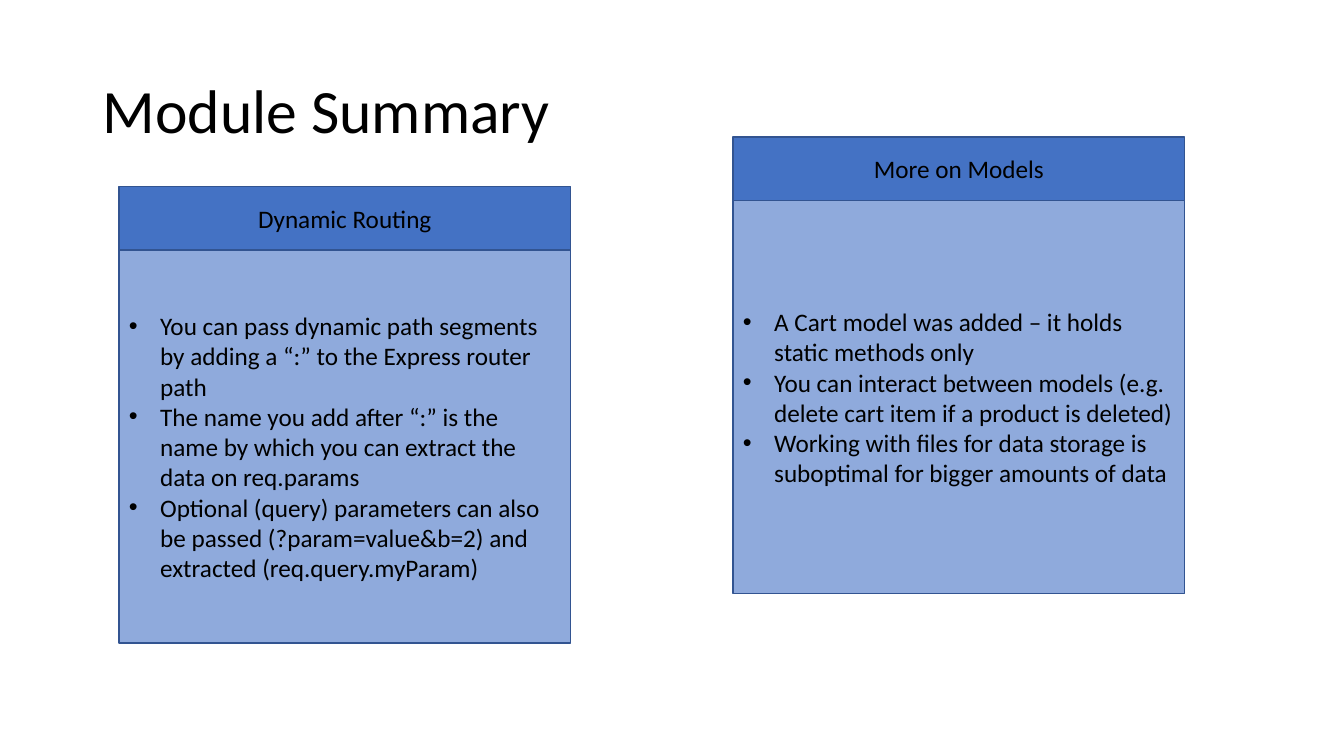
from lxml.etree import SubElement
from pptx import Presentation
from pptx.dml.color import RGBColor
from pptx.enum.shapes import MSO_SHAPE
from pptx.enum.text import MSO_ANCHOR, PP_ALIGN
from pptx.oxml.ns import qn
from pptx.util import Inches, Pt

CARD_WIDTH = 4.48
HEADER_HEIGHT = 0.63
BODY_HEIGHT = 3.9
BULLET_INDENT = 0.31

CARDS = [
    (1.18, 1.85, "Dynamic Routing", [
        "You can pass dynamic path segments by adding a “:” to the Express router path",
        "The name you add after “:” is the name by which you can extract the data on req.params",
        "Optional (query) parameters can also be passed (?param=value&b=2) and extracted (req.query.myParam)",
    ]),
    (7.27, 1.36, "More on Models", [
        "A Cart model was added – it holds static methods only",
        "You can interact between models (e.g. delete cart item if a product is deleted)",
        "Working with files for data storage is suboptimal for bigger amounts of data",
    ]),
]


def color(hex_code):
    return RGBColor.from_string(hex_code)


class SummarySlide:
    """Holds the style and the slide, and draws its title and cards."""

    font_name = "Calibri"
    text_color = "000000"
    header_fill = "4472C4"
    body_fill = "8FAADC"
    border_color = "325491"

    def __init__(self, presentation):
        self.slide = presentation.slides.add_slide(presentation.slide_layouts[5])

    def style(self, paragraph, size, alignment):
        paragraph.alignment = alignment
        paragraph.font.name = self.font_name
        paragraph.font.size = Pt(size)
        paragraph.font.color.rgb = color(self.text_color)

    def title(self, text):
        heading = self.slide.shapes.title
        heading.left, heading.top = Inches(0.92), Inches(0.4)
        heading.width, heading.height = Inches(11.5), Inches(1.45)
        frame = heading.text_frame
        frame.text = text
        frame.word_wrap = True
        frame.vertical_anchor = MSO_ANCHOR.MIDDLE
        frame.paragraphs[0].line_spacing = 0.9
        self.style(frame.paragraphs[0], 44, PP_ALIGN.LEFT)

    def panel(self, left, top, height, fill, lines, bulleted=False):
        panel = self.slide.shapes.add_shape(
            MSO_SHAPE.RECTANGLE, Inches(left), Inches(top), Inches(CARD_WIDTH), Inches(height))
        panel.shadow.inherit = False
        panel.fill.solid()
        panel.fill.fore_color.rgb = color(fill)
        panel.line.color.rgb = color(self.border_color)
        panel.line.width = Pt(1)
        frame = panel.text_frame
        frame.word_wrap = True
        frame.vertical_anchor = MSO_ANCHOR.MIDDLE
        frame.text = "\n".join(lines)
        for paragraph in frame.paragraphs:
            if bulleted:
                self.bullet(paragraph)
            self.style(paragraph, 18, PP_ALIGN.LEFT if bulleted else PP_ALIGN.CENTER)

    def bullet(self, paragraph):
        properties = paragraph._p.get_or_add_pPr()
        properties.set("marL", str(Inches(BULLET_INDENT)))
        properties.set("indent", str(-Inches(BULLET_INDENT)))
        SubElement(properties, qn("a:buFont"), typeface="Arial")
        SubElement(properties, qn("a:buChar"), char="•")

    def card(self, left, top, heading, points):
        self.panel(left, top, HEADER_HEIGHT, self.header_fill, [heading])
        self.panel(left, top + HEADER_HEIGHT, BODY_HEIGHT, self.body_fill, points, bulleted=True)


def main():
    presentation = Presentation()
    presentation.slide_width = Inches(13.33)
    presentation.slide_height = Inches(7.5)
    summary = SummarySlide(presentation)
    summary.title("Module Summary")
    for left, top, heading, points in CARDS:
        summary.card(left, top, heading, points)
    presentation.save("out.pptx")


if __name__ == "__main__":
    main()
